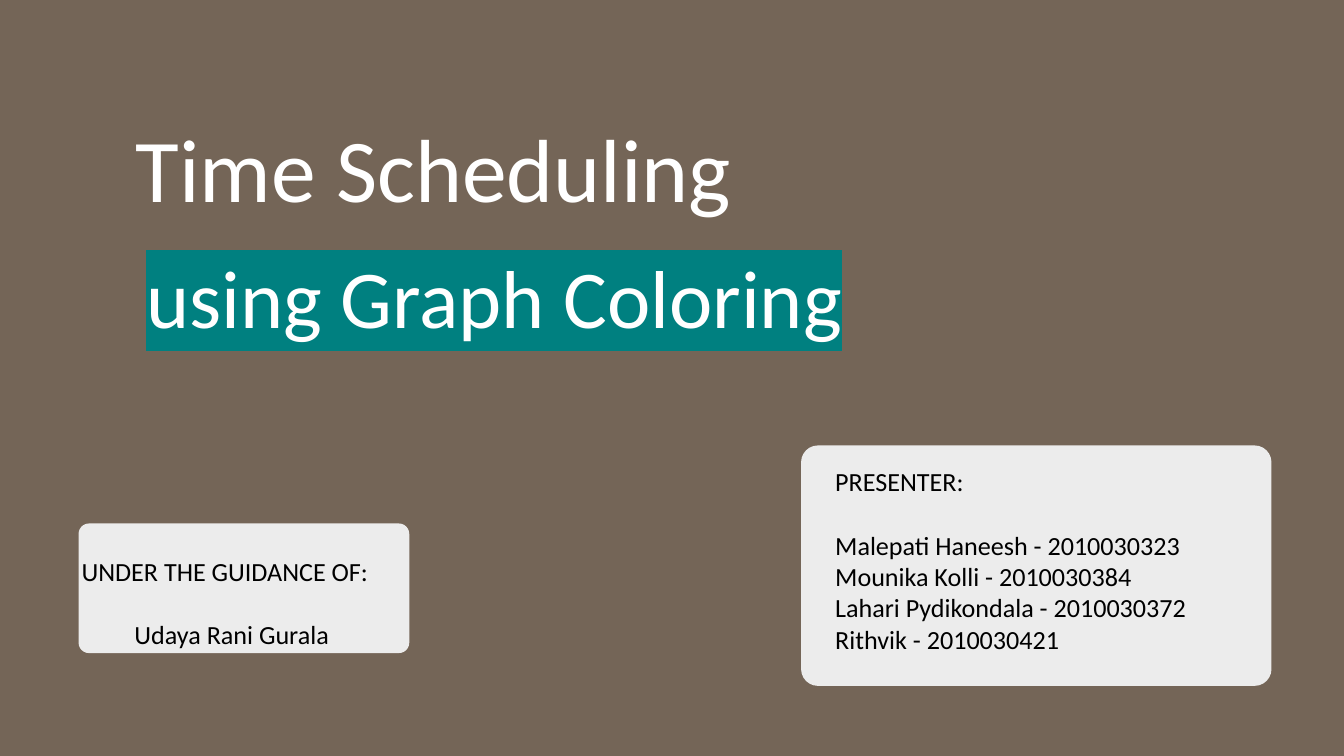
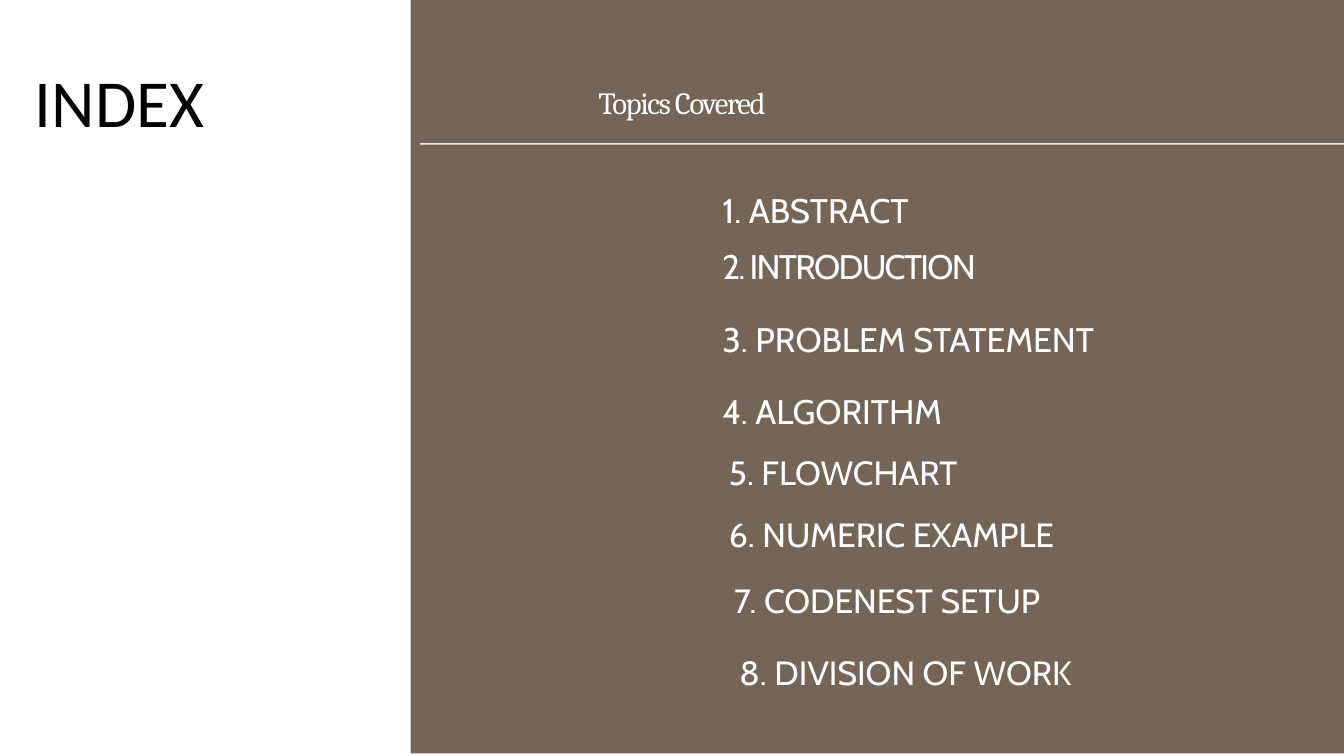
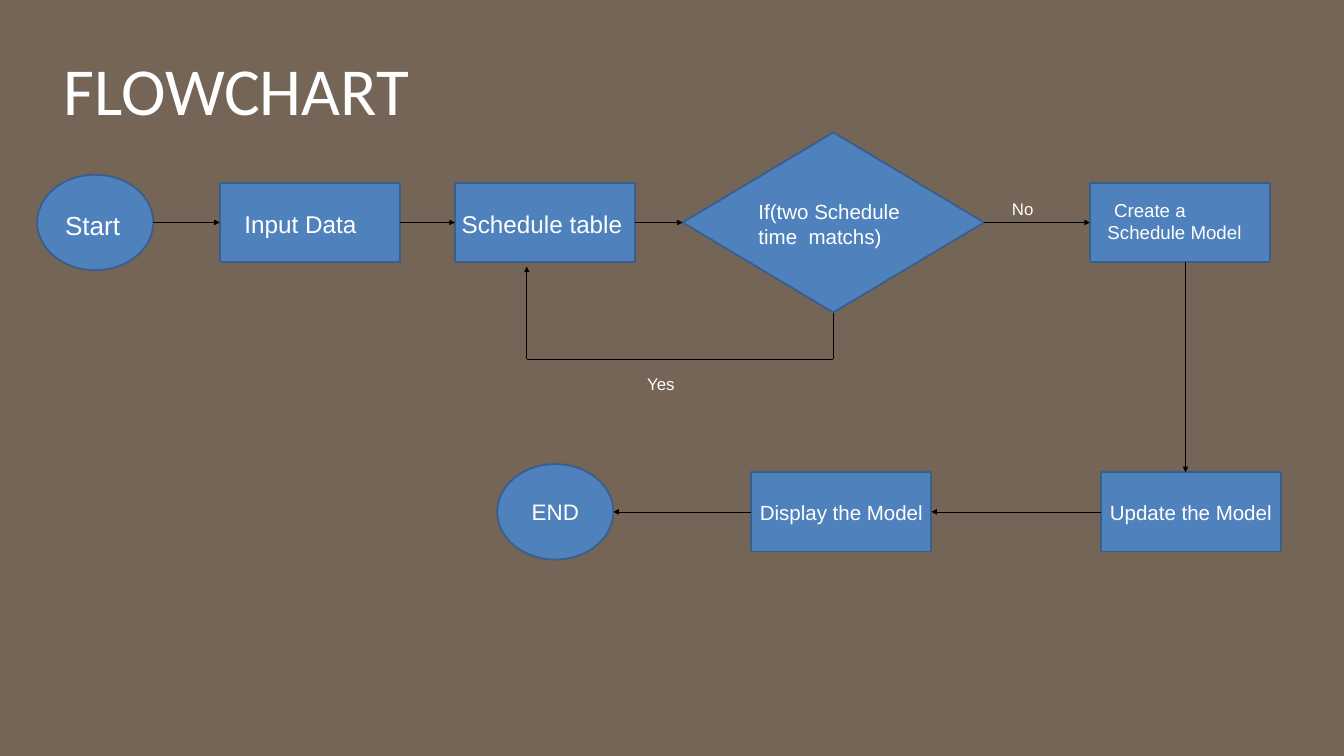
from pptx import Presentation
from pptx.dml.color import RGBColor
from pptx.enum.shapes import MSO_CONNECTOR, MSO_SHAPE as Shape
from pptx.enum.text import MSO_ANCHOR as Anchor, MSO_AUTO_SIZE as AutoSize, PP_ALIGN as Align
from pptx.oxml.ns import qn
from pptx.oxml.xmlchemy import OxmlElement
from pptx.util import Cm, Pt

BROWN = RGBColor(0x74, 0x65, 0x57)
PALE = RGBColor(0xEC, 0xEC, 0xEC)
WHITE = RGBColor(0xFF, 0xFF, 0xFF)
BLACK = RGBColor(0, 0, 0)
BLUE = RGBColor(0x4F, 0x81, 0xBD)
NAVY = RGBColor(0x3A, 0x5F, 0x8C)
TEAL = "008080"
WIDTH, HEIGHT = 50.8, 28.58

# Cover content: (text, paragraph format)
GUIDANCE = [("UNDER THE GUIDANCE OF:", {}),
            ("Udaya Rani Gurala", {"before": 34, "left": 2})]
PRESENTERS = [("PRESENTER:", {}),
              ("Malepati Haneesh - 2010030323", {"before": 34}),
              ("Mounika Kolli - 2010030384", {}),
              ("Lahari Pydikondala - 2010030372", {}),
              ("Rithvik - 2010030421", {})]

# Index content: (topic, line top, left indent, text size)
TOPICS = [("1. ABSTRACT", 7.18, 0, 36.5),
          ("2. INTRODUCTION", 9.31, 0, 36.5),
          ("3. PROBLEM STATEMENT", 12.06, 0, 36.5),
          ("4. ALGORITHM", 14.8, 0, 36.5),
          ("5. FLOWCHART", 17.17, 0.25, 36),
          ("6. NUMERIC EXAMPLE", 19.51, 0.25, 36),
          ("7. CODENEST SETUP", 22.05, 0.45, 36),
          ("8. DIVISION OF WORK", 24.79, 0.65, 36)]
TIGHT = {"2. INTRODUCTION": -180}
CABIN_LINE = 1.215

# Flowchart content
TOP_ROW, BOTTOM_ROW = 8.41, 19.35
KINDS = {"terminal": (Shape.OVAL, 4.39, 3.61),
         "step": (Shape.RECTANGLE, 6.81, 3),
         "decision": (Shape.DIAMOND, 11.4, 6.81)}
# name: (kind, centre x, centre y, inner text, text size)
STEPS = {"start": ("terminal", 3.6, TOP_ROW, "", 0),
         "input": ("step", 11.71, TOP_ROW, "", 0),
         "schedule": ("step", 20.6, TOP_ROW, "", 0),
         "match": ("decision", 31.5, TOP_ROW, "", 0),
         "create": ("step", 44.6, TOP_ROW, "", 0),
         "update": ("step", 45.01, BOTTOM_ROW, "Update the Model", 22),
         "display": ("step", 31.8, BOTTOM_ROW, "Display the Model", 22),
         "end": ("terminal", 20.99, BOTTOM_ROW, "END", 24)}
# (text, box, size, first-line indent)
LABELS = [("Start", (2.21, 7.8, 3.2, 1.68), 28, 0),
          ("Input Data", (8.99, 7.8, 5.99, 1.8), 26, 0),
          ("Schedule table", (17.2, 7.8, 8.99, 1.8), 26, 0),
          ("If(two Schedule time  matchs)", (28.42, 7.39, 6.2, 1.98), 22, 0),
          ("Create a Schedule Model", (41.61, 7.39, 5.99, 2.06), 20, 0.25),
          ("No", (38, 7.39, 2.18, 0.97), 18, 0),
          ("Yes", (24.21, 14, 2.18, 0.97), 18, 0)]
LINKS = [("start", "input"), ("input", "schedule"), ("schedule", "match"),
         ("match", "create"), ("update", "display"), ("display", "end")]
DOWN_X, LOOP_X, LOOP_Y, LOOP_TIP = 44.81, 19.91, 13.59, 10.08


def lengths(box):
    return [Cm(value) for value in box]


def write(shape, lines, size, font, color, margins=(0.25, 0.13, 0.25, 0.13), align=Align.LEFT, **extra):
    """Fill a text frame with (text, format) lines and return its runs."""
    frame = shape.text_frame
    left, top, right, bottom = lengths(margins)
    settings = {"word_wrap": True, "auto_size": AutoSize.NONE, "vertical_anchor": Anchor.TOP,
                "margin_left": left, "margin_top": top, "margin_right": right,
                "margin_bottom": bottom, **extra}
    for name, value in settings.items():
        setattr(frame, name, value)
    runs = []
    for number, (text, look) in enumerate(lines):
        paragraph = frame.add_paragraph() if number else frame.paragraphs[0]
        paragraph.alignment = align
        paragraph.space_before = Pt(look.get("before", 0))
        props = paragraph._p.get_or_add_pPr()
        props.set("marL", str(Cm(look.get("left", 0))))
        props.set("indent", str(Cm(look.get("first", 0))))
        props.append(OxmlElement("a:buNone"))
        run = paragraph.add_run()
        run.text = text
        for name, value in {"size": Pt(look.get("size", size)), "name": font}.items():
            setattr(run.font, name, value)
        run.font.color.rgb = color
        runs.append(run)
    return runs


def track(run, spacing):
    run._r.get_or_add_rPr().set("spc", str(spacing))


def highlight(run, color):
    mark = OxmlElement("a:highlight")
    shade = OxmlElement("a:srgbClr")
    shade.set("val", color)
    mark.append(shade)
    run._r.get_or_add_rPr().find(qn("a:solidFill")).addnext(mark)


def place(placeholder, box):
    """Move a placeholder and bring it in front of the shapes drawn so far."""
    for name, value in zip(("left", "top", "width", "height"), lengths(box)):
        setattr(placeholder, name, value)
    placeholder.element.getparent().append(placeholder.element)
    return placeholder


def title(slide, text, box, size, color):
    write(place(slide.shapes.title, box), [(text, {})], size, "Calibri", color)


def block(slide, kind, box, fill, outline=None):
    shape = slide.shapes.add_shape(kind, *lengths(box))
    shape.shadow.inherit = False
    shape.fill.solid()
    shape.fill.fore_color.rgb = fill
    if outline is None:
        shape.line.fill.background()
    else:
        shape.line.color.rgb = outline
        shape.line.width = Pt(2)
    return shape


def card(slide, box, corner):
    shape = block(slide, Shape.ROUNDED_RECTANGLE, box, PALE)
    shape.adjustments[0] = corner
    return shape


def text_box(slide, box, lines, *style, **extra):
    return write(slide.shapes.add_textbox(*lengths(box)), lines, *style, **extra)


def connect(slide, start, end, arrow=True):
    line = slide.shapes.add_connector(MSO_CONNECTOR.STRAIGHT, *lengths((*start, *end)))
    line.line.color.rgb = BLACK
    line.line.width = Pt(0.75)
    props = line.element.spPr
    if arrow:
        tip = OxmlElement("a:tailEnd")
        tip.set("type", "triangle")
        props.find(qn("a:ln")).append(tip)
    props.append(OxmlElement("a:effectLst"))
    return line


def build_cover(deck):
    slide = deck.slides.add_slide(deck.slide_layouts[0])
    block(slide, Shape.RECTANGLE, (0, 0, WIDTH, HEIGHT), BROWN)
    guidance = card(slide, (2.97, 19.79, 12.5, 4.9), 0.08)
    write(guidance, GUIDANCE, 28, "Calibri", BLACK, margins=(0, 1.1, 0, 0))
    card(slide, (30.28, 16.84, 17.78, 9.09), 0.07)
    text_box(slide, (31.32, 17.48, 14.88, 7.37), PRESENTERS, 28, "Calibri", BLACK)
    title(slide, "Time Scheduling", (4.88, 4.14, 35.74, 8.38), 96, WHITE)
    subtitle = place(slide.placeholders[1], (5.28, 9.19, 40.28, 7.77))
    highlight(write(subtitle, [("using Graph Coloring", {})], 88, "Calibri", WHITE)[0], TEAL)


def build_index(deck):
    slide = deck.slides.add_slide(deck.slide_layouts[1])
    block(slide, Shape.RECTANGLE, (15.52, -0.1, 35.28, HEIGHT), BROWN)
    heading = text_box(slide, (22.63, 3.12, 7.26, 2.82), [("Topics Covered", {})],
                       33, "Cambria", WHITE, margins=(0, 0.05, 0, 0))
    track(heading[0], -150)
    block(slide, Shape.RECTANGLE, (15.88, 5.41, WIDTH - 15.88, 0.06), PALE)

    # Each gap is the step between line tops less the height of the line above
    lines, below = [], TOPICS[0][1]
    for topic, top, indent, size in TOPICS:
        gap = round(Cm(top - below).pt, 1)
        lines.append((topic, {"before": max(gap, 0), "left": indent, "size": size}))
        below = top + Pt(size * CABIN_LINE).cm
    topics = place(slide.placeholders[1], (27.3, TOPICS[0][1], 22, 19.5))
    for run in write(topics, lines, 36, "Cabin", WHITE, margins=(0, 0, 0, 0)):
        if run.text in TIGHT:
            track(run, TIGHT[run.text])
    title(slide, "INDEX", (1.07, 2.16, 12.9, 3.3), 72, BLACK)


def build_flowchart(deck):
    slide = deck.slides.add_slide(deck.slide_layouts[5])
    slide.background.fill.solid()
    slide.background.fill.fore_color.rgb = BROWN
    title(slide, "FLOWCHART", (2.16, 1.7, 21.97, 3.3), 72, WHITE)

    # Steps and their labels
    steps = {}
    for name, (kind, x, y, text, size) in STEPS.items():
        preset, width, height = KINDS[kind]
        steps[name] = block(slide, preset, (x - width / 2, y - height / 2, width, height), BLUE, NAVY)
        if text:
            write(steps[name], [(text, {})], size, "Arial", WHITE, align=Align.CENTER,
                  vertical_anchor=Anchor.MIDDLE, word_wrap=False)
    for text, box, size, first in LABELS:
        text_box(slide, box, [(text, {"first": first})], size, "Arial", WHITE)

    # Arrows along the rows; ovals have no side joint at these indexes
    for source, target in LINKS:
        (kind, x, y, *_), (next_kind, next_x, *_) = STEPS[source], STEPS[target]
        way = 1 if next_x > x else -1
        line = connect(slide, (x + way * KINDS[kind][1] / 2, y),
                       (next_x - way * KINDS[next_kind][1] / 2, y))
        out_side, in_side = (3, 1) if way > 0 else (1, 3)
        if kind != "terminal":
            line.begin_connect(steps[source], out_side)
        if next_kind != "terminal":
            line.end_connect(steps[target], in_side)

    # Drop to the bottom row and the loop back to the schedule
    half = KINDS["step"][2] / 2
    connect(slide, (DOWN_X, TOP_ROW + half), (DOWN_X, BOTTOM_ROW - half))
    match_x = STEPS["match"][1]
    exit_line = connect(slide, (match_x, TOP_ROW), (match_x, LOOP_Y), arrow=False)
    exit_line.begin_connect(steps["match"], 2)
    connect(slide, (match_x, LOOP_Y), (LOOP_X, LOOP_Y), arrow=False)
    connect(slide, (LOOP_X, LOOP_Y), (LOOP_X, LOOP_TIP))


def main():
    deck = Presentation()
    deck.slide_width, deck.slide_height = Cm(WIDTH), Cm(HEIGHT)
    for build in (build_cover, build_index, build_flowchart):
        build(deck)
    deck.save("out.pptx")


if __name__ == "__main__":
    main()
